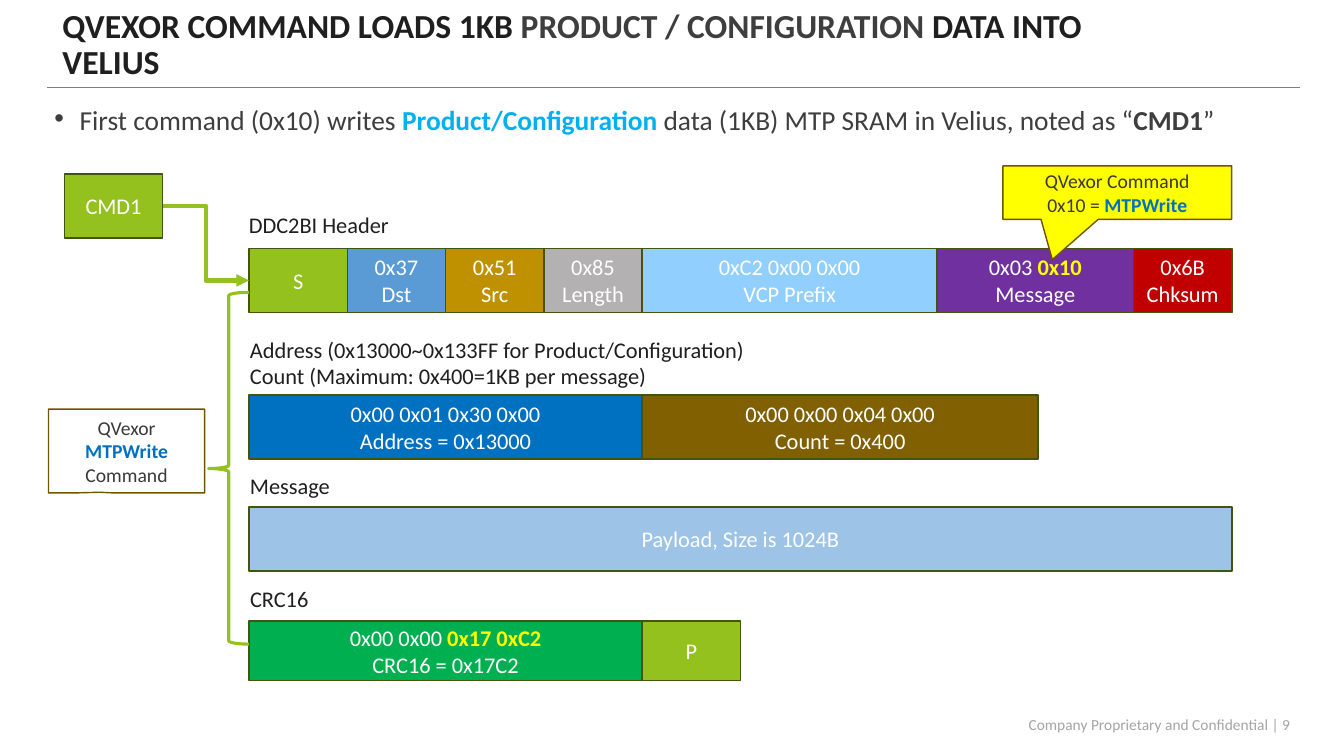
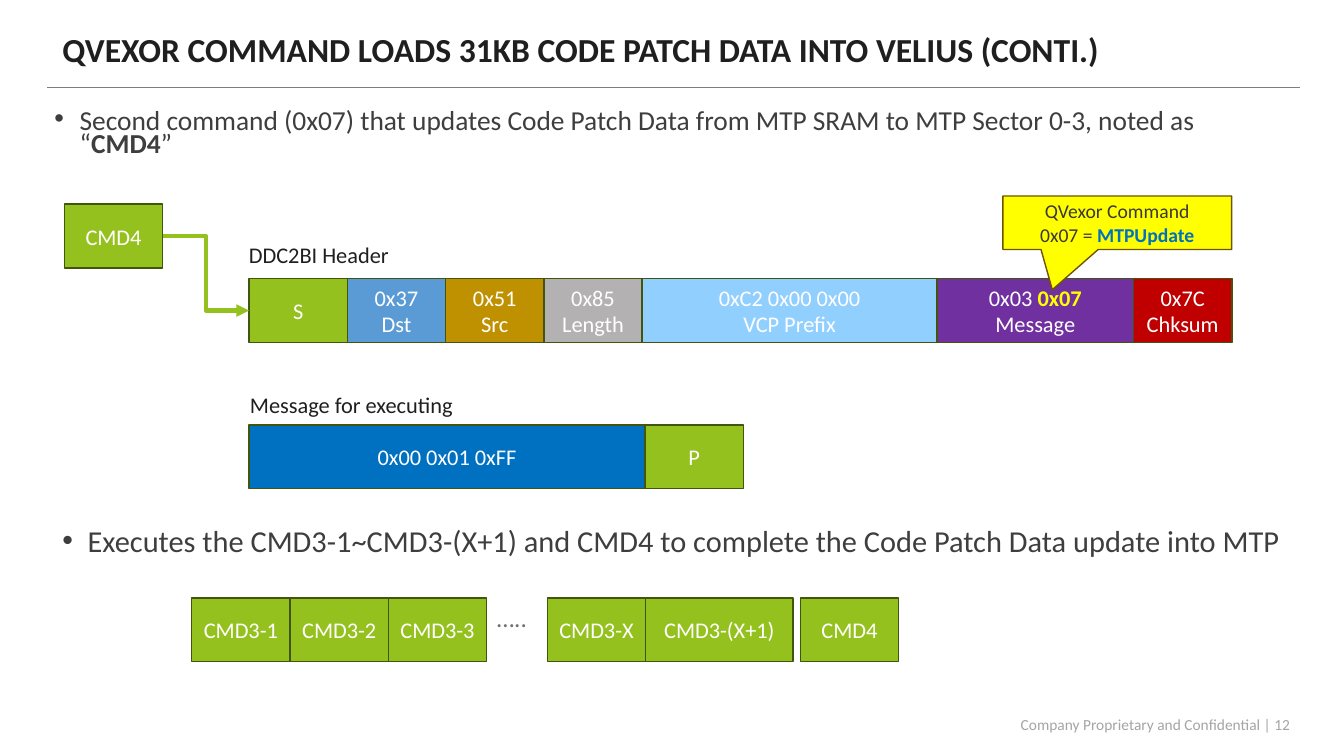
"""Build two slides that describe the QVexor command frames."""
from dataclasses import dataclass

import pptx
import pptx.dml.color
import pptx.enum.shapes
import pptx.enum.text
import pptx.oxml
import pptx.oxml.ns
import pptx.util

Pt = pptx.util.Pt
SHAPE = pptx.enum.shapes.MSO_SHAPE
CONNECTOR = pptx.enum.shapes.MSO_CONNECTOR
ALIGN = pptx.enum.text.PP_ALIGN
ANCHOR = pptx.enum.text.MSO_ANCHOR
AUTO = pptx.enum.text.MSO_AUTO_SIZE
qn = pptx.oxml.ns.qn


@dataclass(frozen=True)
class Theme:
    font: str = "Calibri"
    title: float = 24
    bullet: float = 19.6
    bullet_large: float = 21.7
    dots: float = 18
    cell: float = 16
    note: float = 14
    footer: float = 11
    ink: str = "201F1F"
    body: str = "3F3E3E"
    note_ink: str = "3A3838"
    dots_ink: str = "757070"
    footer_ink: str = "A6A4A4"
    rule: str = "7F7E7E"
    white: str = "FFFFFF"
    yellow: str = "FFFF00"
    cyan: str = "00B0F0"
    green: str = "95C11F"
    green_edge: str = "41550E"
    note_edge: str = "705400"
    blue: str = "0070C0"
    sky: str = "5B9BD5"
    gold: str = "BF9000"
    gray: str = "B3B1B1"
    pale: str = "91CFFF"
    purple: str = "7030A0"
    red: str = "C00000"
    brown: str = "806000"
    payload: str = "9DC3E6"
    emerald: str = "00B050"


T = Theme()
GRID_LEFT = 177.9
UNIT = 70.2
ROW_H = 45.6
LABEL_LEFT = GRID_LEFT - 7.2


def rgb(value):
    return pptx.dml.color.RGBColor.from_string(value)


def apply(obj, fmt):
    for name, value in fmt.items():
        setattr(obj, name, value)


def box(*lengths):
    return [Pt(v) for v in lengths]


def place(sp, *lengths):
    apply(sp, dict(zip(("left", "top", "width", "height"), box(*lengths))))


def write(tf, paras, size, color, bold=False, **fmt):
    """Fill a frame; a paragraph is a string or a list of strings and (text, colour, bold) runs."""
    for i, runs in enumerate(paras):
        p = tf.paragraphs[0] if i == 0 else tf.add_paragraph()
        apply(p, fmt)
        for run in [runs] if isinstance(runs, str) else runs:
            text, ink, heavy = (run, color, bold) if isinstance(run, str) else run
            r = p.add_run()
            r.text = text
            apply(r.font, {"name": T.font, "size": Pt(size), "bold": heavy})
            r.font.color.rgb = rgb(ink)


def add_shape(s, kind, at, fill, edge, weight=1, adj=()):
    sp = s.shapes.add_shape(kind, *box(*at))
    sp.shadow.inherit = False
    if fill:
        sp.fill.solid()
        sp.fill.fore_color.rgb = rgb(fill)
    else:
        sp.fill.background()
    sp.line.color.rgb = rgb(edge)
    sp.line.width = Pt(weight)
    for i, value in enumerate(adj):
        sp.adjustments[i] = value
    return sp


def add_line(s, kind, start, end, color, weight, arrow=False):
    c = s.shapes.add_connector(kind, *box(*start, *end))
    c.line.color.rgb = rgb(color)
    c.line.width = Pt(weight)
    if arrow:
        ln = c.element.spPr.find(qn("a:ln"))
        tail = ln.makeelement(qn("a:tailEnd"), {"type": "triangle"})
        ln.append(tail)
    c.element.spPr.append(c.element.makeelement(qn("a:effectLst"), {}))
    return c


def add_cell(s, at, fill, paras):
    sp = add_shape(s, SHAPE.RECTANGLE, at, fill, T.green_edge)
    write(sp.text_frame, paras, T.cell, T.white, alignment=ALIGN.CENTER)
    return sp


def add_row(s, top, cells, left=GRID_LEFT, height=ROW_H):
    """Lay (span, fill, paragraphs) cells side by side and return them."""
    shapes = []
    for span, fill, paras in cells:
        shapes.append(add_cell(s, (left, top, span * UNIT, height), fill, paras))
        left += span * UNIT
    return shapes


def add_label(s, at, paras, size=T.cell, color=T.ink):
    tf = s.shapes.add_textbox(*box(*at)).text_frame
    apply(tf, {"word_wrap": False, "auto_size": AUTO.SHAPE_TO_FIT_TEXT})
    write(tf, paras, size, color)


def add_callout(s, at, fill, adj, paras):
    sp = add_shape(s, SHAPE.RECTANGULAR_CALLOUT, at, fill, T.note_edge, adj=adj)
    write(sp.text_frame, paras, T.note, T.note_ink, alignment=ALIGN.CENTER)


def set_bullet(sp, at, runs, size):
    place(sp, *at)
    tf = sp.text_frame
    apply(tf, {"auto_size": AUTO.NONE, "vertical_anchor": ANCHOR.TOP})
    pPr = tf.paragraphs[0]._p.get_or_add_pPr()
    for name, value in (("marL", Pt(18)), ("indent", Pt(-18))):
        pPr.set(name, str(value))
    for tag, attrs in (("a:buFont", {"typeface": "Arial"}), ("a:buChar", {"char": "•"})):
        pPr.append(pPr.makeelement(qn(tag), attrs))
    write(tf, [runs], size, T.body, line_spacing=0.7, space_before=Pt(0))


def add_slide(prs, layout, number, title, title_top, title_h):
    """Add a slide with its title, rule and footer."""
    s = prs.slides.add_slide(prs.slide_layouts[layout])
    sp = s.shapes.title
    place(sp, 37.4, title_top, 797, title_h)
    apply(sp.text_frame, {"auto_size": AUTO.NONE, "vertical_anchor": ANCHOR.MIDDLE})
    write(sp.text_frame, [title], T.title, T.ink, True, alignment=ALIGN.LEFT, line_spacing=0.9)
    add_line(s, CONNECTOR.STRAIGHT, (33.8, 62.6), (928.4, 62.6), T.rule, 1)
    tf = s.shapes.add_textbox(*box(601.2, 508.3, 327.6, 18.7)).text_frame
    apply(tf, {"word_wrap": True, "vertical_anchor": ANCHOR.MIDDLE})
    write(tf, [f"Company Proprietary and Confidential | {number}"], T.footer, T.footer_ink,
          alignment=ALIGN.RIGHT)
    return s


def add_header(s, top, command, code, action, checksum):
    """Draw the DDC2BI header row with its command box, arrow and callout."""
    cells = add_row(s, top, [
        (1, T.green, ["S"]),
        (1, T.sky, ["0x37", "Dst"]),
        (1, T.gold, ["0x51", "Src"]),
        (1, T.gray, ["0x85", "Length"]),
        (3, T.pale, ["0xC2 0x00 0x00", "VCP Prefix"]),
        (2, T.purple, [["0x03 ", (code, T.yellow, True)], "Message"]),
        (1, T.red, [checksum, "Chksum"]),
    ])
    add_label(s, (LABEL_LEFT, top - 30, 116, 26.6), ["DDC2BI Header"])
    cmd = add_cell(s, (46, top - 53.2, UNIT, ROW_H), T.green, [command])
    c = add_line(s, CONNECTOR.ELBOW, (116.2, top - 30.4), (GRID_LEFT, top + ROW_H / 2),
                 T.green, 3, arrow=True)
    c.begin_connect(cmd, 3)
    c.end_connect(cells[0], 1)
    add_callout(s, (716.4, top - 59, 163.4, 38.2), T.yellow, (-0.284, 1.253),
                ["QVexor Command", [f"{code} = ", (action, T.blue, True)]])


def build_write_slide(prs):
    title = ["QVEXOR COMMAND LOADS 1KB ", ("PRODUCT / CONFIGURATION ", T.body, True),
             "DATA INTO VELIUS"]
    s = add_slide(prs, 1, 9, title, 8.6, 47.5)
    set_bullet(s.placeholders[1], (31.7, 76.3, 895.7, 28.8), [
        "First command (0x10) writes ", ("Product/Configuration ", T.cyan, True),
        "data (1KB) MTP SRAM in Velius, noted as “", ("CMD1", T.body, True), "”"], T.bullet)
    add_header(s, 177.5, "CMD1", "0x10", "MTPWrite", "0x6B")
    for top, width, height, paras in (
            (236.2, 372.2, 46, ["Address (0x13000~0x133FF for Product/Configuration)",
                                "Count (Maximum: 0x400=1KB per message)"]),
            (333.4, 72, 26.6, ["Message"]),
            (414.7, 56.9, 26.6, ["CRC16"])):
        add_label(s, (LABEL_LEFT + 0.8, top, width, height), paras)
    add_row(s, 282.2, [
        (4, T.blue, ["0x00 0x01 0x30 0x00", "Address = 0x13000"]),
        (4.03, T.brown, ["0x00 0x00 0x04 0x00", "Count = 0x400"]),
    ])
    add_row(s, 362.2, [(10, T.payload, ["Payload, Size is 1024B"])])
    add_row(s, 443.5, [
        (4, T.emerald, [["0x00 0x00 ", ("0x17 0xC2", T.yellow, True)], "CRC16 = 0x17C2"]),
        (1, T.green, ["P"]),
    ], height=42.5)
    add_shape(s, SHAPE.LEFT_BRACE, (149, 208.8, 28.8, 251.3), None, T.green, 2.25, (0.083, 0.501))
    add_callout(s, (34.6, 292.3, 111.6, 59.8), None, (-0.172, 0.492),
                ["QVexor", [("MTPWrite", T.blue, True)], "Command"])


def build_update_slide(prs):
    title = "QVEXOR COMMAND LOADS 31KB CODE PATCH DATA INTO VELIUS (CONTI.)"
    s = add_slide(prs, 3, 12, title, 17.3, 38.9)
    set_bullet(s.placeholders[1], (31.7, 76.3, 895.7, 42.5), [
        "Second command (0x07) that updates Code Patch Data from MTP SRAM to MTP Sector 0-3, "
        "noted as “", ("CMD4", T.body, True), "”"], T.bullet)
    set_bullet(s.placeholders[2], (37.4, 376.6, 895.7, 32.4), [
        "Executes the CMD3-1~CMD3-(X+1) and CMD4 to complete the Code Patch Data update into MTP"],
        T.bullet_large)
    add_header(s, 199, "CMD4", "0x07", "MTPUpdate", "0x7C")
    add_label(s, (LABEL_LEFT + 0.8, 275.8, 161.3, 26.6), ["Message for executing"])
    add_row(s, 303.5, [(4.03, T.blue, ["0x00 0x01 0xFF"]), (1, T.green, ["P"])])
    for left, commands in (
            (137, [(1, "CMD3-1"), (1, "CMD3-2"), (1, "CMD3-3")]),
            (391, [(1, "CMD3-X"), (1.5, "CMD3-(X+1)")]),
            (571.7, [(1, "CMD4")])):
        add_row(s, 427, [(span, T.green, [name]) for span, name in commands], left)
    add_label(s, (347.8, 427, 36, 28.8), ["….."], T.dots, T.dots_ink)


def main():
    prs = pptx.Presentation()
    apply(prs, {"slide_width": Pt(960), "slide_height": Pt(540)})
    build_write_slide(prs)
    build_update_slide(prs)
    prs.save("out.pptx")


if __name__ == "__main__":
    main()
